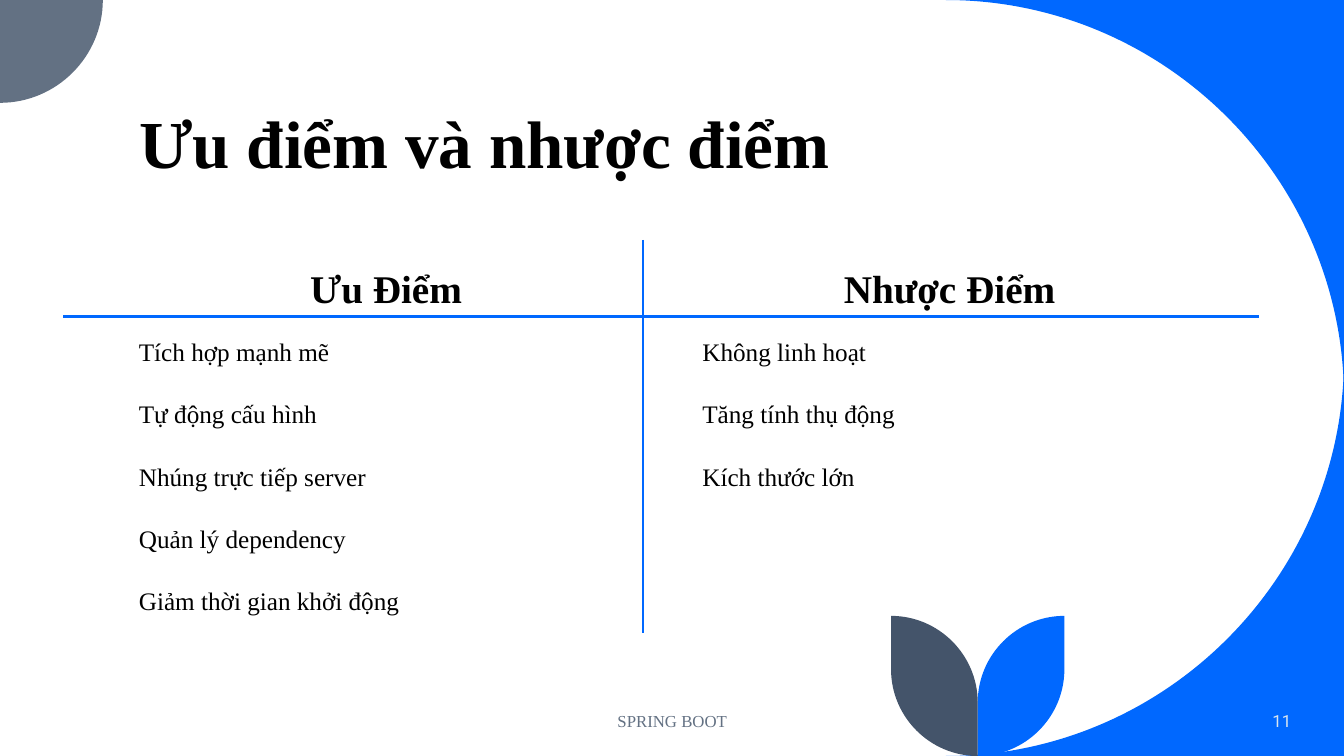
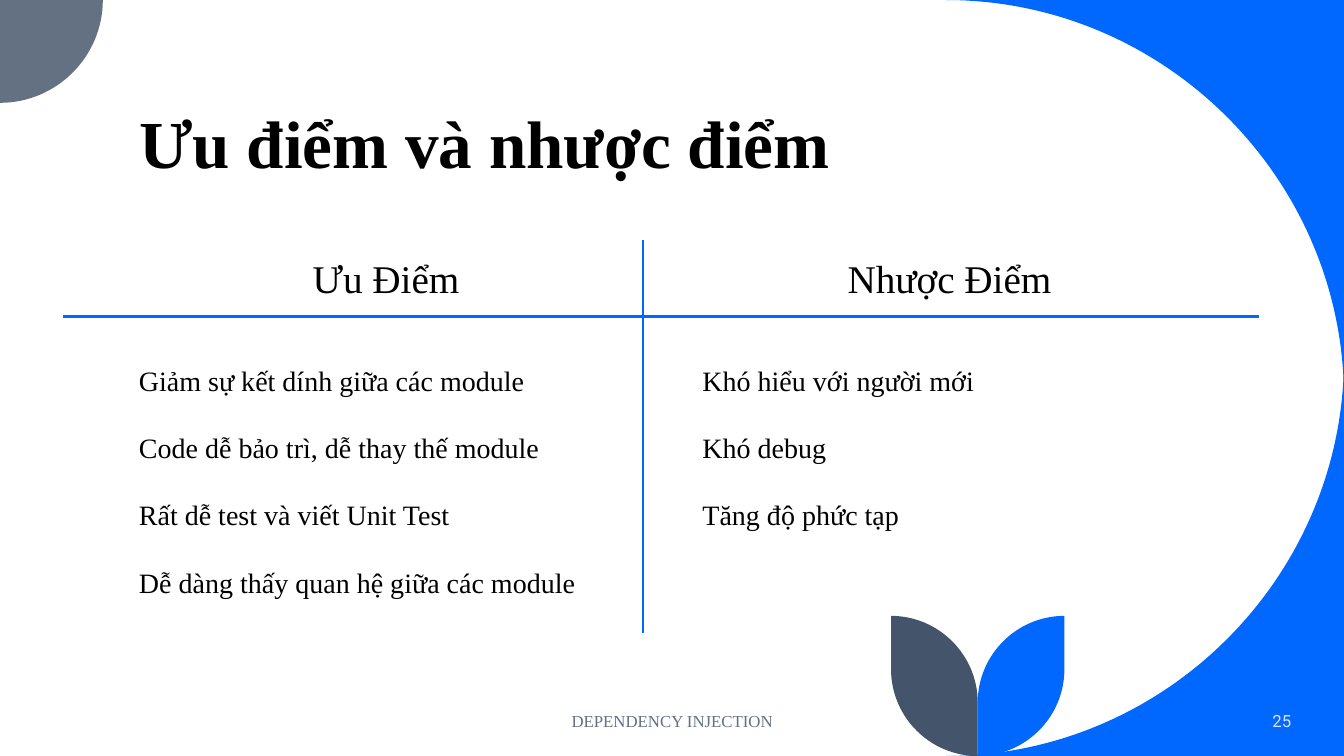
from dataclasses import dataclass

from lxml import etree
from pptx import Presentation
from pptx.dml.color import RGBColor
from pptx.enum.shapes import MSO_CONNECTOR
from pptx.enum.text import MSO_ANCHOR, MSO_AUTO_SIZE, PP_ALIGN
from pptx.oxml.ns import qn
from pptx.slide import Slide, SlideLayout
from pptx.text.text import TextFrame
from pptx.util import Inches, Pt

LEFT, CENTER, RIGHT = PP_ALIGN.LEFT, PP_ALIGN.CENTER, PP_ALIGN.RIGHT
TOP, MIDDLE, BOTTOM = MSO_ANCHOR.TOP, MSO_ANCHOR.MIDDLE, MSO_ANCHOR.BOTTOM
STRAIGHT = MSO_CONNECTOR.STRAIGHT
NO_AUTOFIT, GROW = MSO_AUTO_SIZE.NONE, MSO_AUTO_SIZE.SHAPE_TO_FIT_TEXT

BLUE = RGBColor(0x00, 0x68, 0xFF)
SLATE = RGBColor(0x63, 0x71, 0x83)
NAVY = RGBColor(0x44, 0x54, 0x6A)
PALE = RGBColor(0xDA, 0xE5, 0xEF)
BLACK = RGBColor(0x00, 0x00, 0x00)

SERIF = "Times New Roman"
SANS = "Roboto"
TITLE_ONLY = 5

# Page geometry, in inches
PAGE_WIDTH, PAGE_HEIGHT = 40 / 3, 7.5
CURVE_RADIUS = 3.95
CORNER_RADIUS = 1.02
STEM_X, LEAF_TOP, LEAF_RADIUS = 9.7, 6.11, 0.86
COLUMN_LEFTS = (1.28, 6.87)
COLUMN_WIDTH = 5.1
FOOTER_TOP, FOOTER_HEIGHT = 6.95, 0.4
ARC_RATIO = 0.55  # control point distance for a quarter circle

Point = tuple[float, float]
Area = tuple[float, float, float, float]


@dataclass(frozen=True)
class Step:
    """A line to a point, or a quarter circle bulging towards a corner."""
    to: Point
    corner: Point | None = None


@dataclass(frozen=True)
class Column:
    heading: str
    items: list[str]
    list_width: float
    list_height: float


@dataclass(frozen=True)
class Comparison:
    title: str
    columns: list[Column]
    heading_top: float
    heading_bold: bool
    list_top: float
    list_size: int
    footer: str
    number: str


COMPARISONS = [
    Comparison(
        title="Ưu điểm và nhược điểm",
        columns=[
            Column("Ưu Điểm", [
                "Tích hợp mạnh mẽ",
                "Tự động cấu hình",
                "Nhúng trực tiếp server",
                "Quản lý dependency",
                "Giảm thời gian khởi động",
            ], 4.3, 3.05),
            Column("Nhược Điểm", [
                "Không linh hoạt",
                "Tăng tính thụ động",
                "Kích thước lớn",
            ], 4.7, 1.8),
        ],
        heading_top=2.63, heading_bold=True, list_top=3.14, list_size=18,
        footer="SPRING BOOT", number="11",
    ),
    Comparison(
        title="Ưu điểm và nhược điểm",
        columns=[
            Column("Ưu Điểm", [
                "Giảm sự kết dính giữa các module",
                "Code dễ bảo trì, dễ thay thế module",
                "Rất dễ test và viết Unit Test",
                "Dễ dàng thấy quan hệ giữa các module",
            ], 5.1, 2.63),
            Column("Nhược Điểm", [
                "Khó hiểu với người mới",
                "Khó debug",
                "Tăng độ phức tạp",
            ], 5.58, 1.95),
        ],
        heading_top=2.53, heading_bold=False, list_top=3.39, list_size=20,
        footer="DEPENDENCY INJECTION", number="25",
    ),
]


def write(frame: TextFrame, lines: list[str], *, size: float, font: str = SERIF,
          color: RGBColor = BLACK, bold: bool = False, align: PP_ALIGN = LEFT,
          anchor: MSO_ANCHOR = TOP, fit: MSO_AUTO_SIZE = NO_AUTOFIT,
          spacing: float = 1.0, before: float = 0, after: float = 0) -> None:
    """Fill a text frame with one paragraph per line."""
    frame.word_wrap = True
    frame.auto_size = fit
    frame.vertical_anchor = anchor
    for index, line in enumerate(lines):
        para = frame.add_paragraph() if index else frame.paragraphs[0]
        para.alignment = align
        para.line_spacing = spacing
        para.space_before, para.space_after = Pt(before), Pt(after)
        span = para.add_run()
        span.text = line
        span.font.name, span.font.size = font, Pt(size)
        span.font.bold = bold
        span.font.color.rgb = color


def add_text(page: Slide, area: Area, lines: list[str], **style) -> None:
    box = page.shapes.add_textbox(*(Inches(length) for length in area))
    write(box.text_frame, lines, **style)


def toward(start: Point, corner: Point) -> Point:
    return (start[0] + ARC_RATIO * (corner[0] - start[0]),
            start[1] + ARC_RATIO * (corner[1] - start[1]))


def add_outline(page: Slide, layout: SlideLayout, start: Point,
                steps: list[Step], color: RGBColor) -> None:
    """Draw a closed outline with curves and place it on the layout."""
    builder = page.shapes.build_freeform(Inches(start[0]), Inches(start[1]))
    builder.add_line_segments(
        [(Inches(step.to[0]), Inches(step.to[1])) for step in steps], close=True)
    shape = builder.convert_to_shape()
    shape.shadow.inherit = False
    shape.fill.solid()
    shape.fill.fore_color.rgb = color
    shape.line.fill.background()

    # Bend the curved segments
    element = shape._element
    segments = list(element.iter(qn("a:lnTo")))
    origins = [start, *(step.to for step in steps)]
    for segment, origin, step in zip(segments, origins, steps):
        if step.corner is None:
            continue
        segment.tag = qn("a:cubicBezTo")
        controls = (toward(origin, step.corner), toward(step.to, step.corner))
        for index, (x, y) in enumerate(controls):
            control = etree.Element(qn("a:pt"))
            control.set("x", str(Inches(x) - shape.left))
            control.set("y", str(Inches(y) - shape.top))
            segment.insert(index, control)

    # Give the outline its own number on the layout, behind all slide text
    tree = layout.shapes._spTree
    used = [int(item.get("id")) for item in tree.iter(qn("p:cNvPr"))]
    element.nvSpPr.cNvPr.set("id", str(max(used) + 1))
    tree.append(element)


def add_decor(page: Slide, layout: SlideLayout) -> None:
    # Blue area around the large curve
    curve_x = PAGE_WIDTH - CURVE_RADIUS
    top_corner, bottom_corner = (PAGE_WIDTH, 0), (PAGE_WIDTH, PAGE_HEIGHT)
    add_outline(page, layout, top_corner, [
        Step((curve_x, 0)),
        Step((PAGE_WIDTH, CURVE_RADIUS), top_corner),
    ], BLUE)
    add_outline(page, layout, (PAGE_WIDTH, PAGE_HEIGHT - CURVE_RADIUS), [
        Step((curve_x, PAGE_HEIGHT), bottom_corner),
        Step(bottom_corner),
    ], BLUE)

    # Quarter circle in the top left corner
    add_outline(page, layout, (0, 0), [
        Step((CORNER_RADIUS, 0)),
        Step((0, CORNER_RADIUS), (CORNER_RADIUS, CORNER_RADIUS)),
    ], SLATE)

    # Two mirrored leaves on one stem
    for reach, color in ((LEAF_RADIUS, BLUE), (-LEAF_RADIUS, NAVY)):
        tip_x = STEM_X + reach
        add_outline(page, layout, (tip_x, LEAF_TOP), [
            Step((tip_x, PAGE_HEIGHT - LEAF_RADIUS)),
            Step((STEM_X, PAGE_HEIGHT), (tip_x, PAGE_HEIGHT)),
            Step((STEM_X, LEAF_TOP + LEAF_RADIUS)),
            Step((tip_x, LEAF_TOP), (STEM_X, LEAF_TOP)),
        ], color)


def add_rule(page: Slide, start: Point, end: Point) -> None:
    rule = page.shapes.add_connector(
        STRAIGHT, *(Inches(length) for length in start + end))
    rule.line.color.rgb = BLUE
    rule.line.width = Pt(1.5)
    etree.SubElement(rule._element.spPr, qn("a:effectLst"))


def add_title(page: Slide, text: str) -> None:
    title = page.shapes.title
    title.left, title.top = Inches(1.28), Inches(0.15)
    title.width, title.height = Inches(10.69), Inches(1.72)
    write(title.text_frame, [text], size=48, bold=True, anchor=BOTTOM, spacing=0.9)


def add_footer(page: Slide, text: str, number: str) -> None:
    add_text(page, (4.42, FOOTER_TOP, 4.5, FOOTER_HEIGHT), [text],
             size=12, color=SLATE, align=CENTER, anchor=MIDDLE)
    add_text(page, (11.1, FOOTER_TOP, 1.81, FOOTER_HEIGHT), [number],
             size=12, font=SANS, color=PALE, align=RIGHT, anchor=MIDDLE)


def fill_comparison(page: Slide, content: Comparison) -> None:
    add_title(page, content.title)

    # Headings and lists, side by side
    for left, column in zip(COLUMN_LEFTS, content.columns):
        add_text(page, (left, content.heading_top, COLUMN_WIDTH, 0.51),
                 [column.heading], size=28, bold=content.heading_bold,
                 align=CENTER, spacing=0.9, before=10)
        add_text(page, (left, content.list_top, column.list_width, column.list_height),
                 column.items, size=content.list_size, fit=GROW,
                 spacing=1.5, before=6, after=6)

    add_footer(page, content.footer, content.number)

    # Crossing rules between the columns
    add_rule(page, (0.63, 3.14), (12.49, 3.14))
    add_rule(page, (6.38, 2.38), (6.38, 6.28))


def main() -> None:
    deck = Presentation()
    deck.slide_width, deck.slide_height = Inches(PAGE_WIDTH), Inches(PAGE_HEIGHT)
    layout = deck.slide_layouts[TITLE_ONLY]
    pages = [deck.slides.add_slide(layout) for _ in COMPARISONS]
    add_decor(pages[0], layout)
    for page, content in zip(pages, COMPARISONS):
        fill_comparison(page, content)
    deck.save("out.pptx")


if __name__ == "__main__":
    main()
